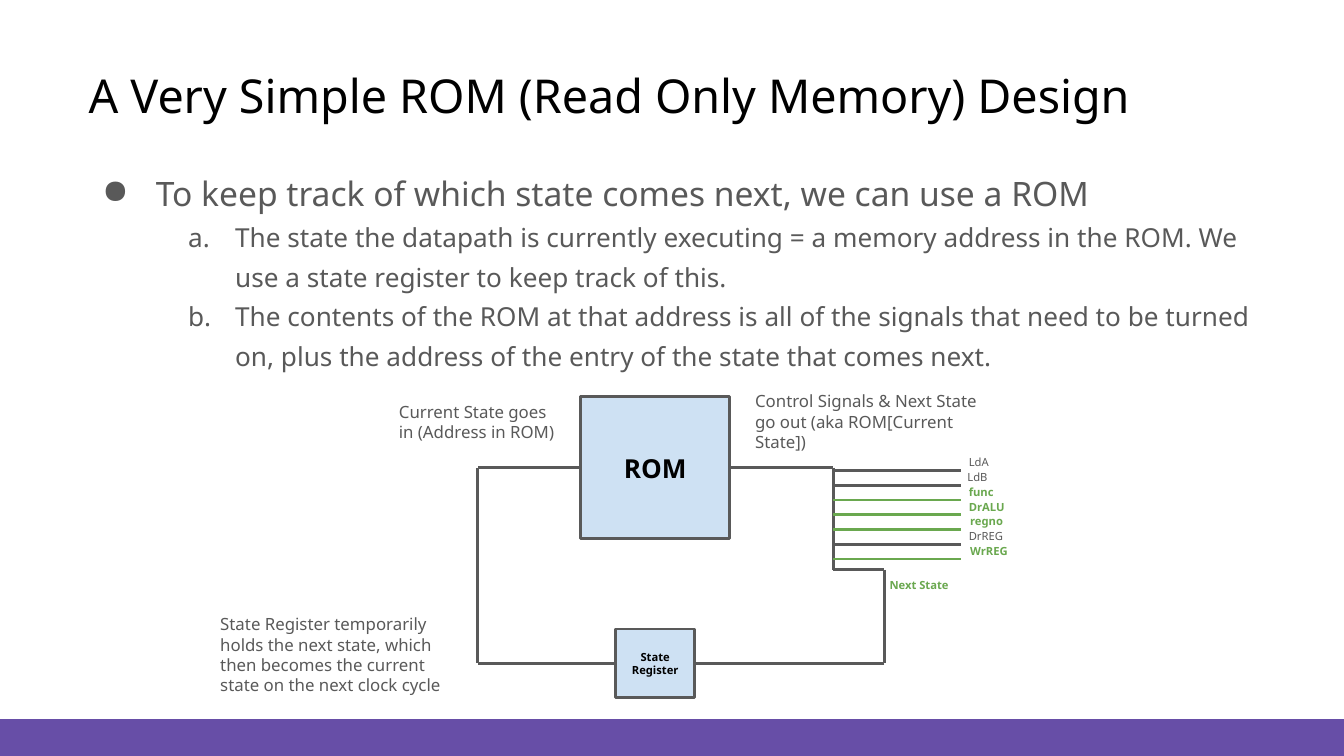
"""Build the slide on a simple ROM design with its state register loop."""
from dataclasses import dataclass

from lxml import etree
from pptx import Presentation
from pptx.dml.color import RGBColor
from pptx.enum.shapes import MSO_CONNECTOR, MSO_SHAPE
from pptx.enum.text import MSO_ANCHOR, PP_ALIGN
from pptx.oxml.ns import qn
from pptx.util import Pt

RECT = MSO_SHAPE.RECTANGLE
STRAIGHT = MSO_CONNECTOR.STRAIGHT
TOP, MIDDLE = MSO_ANCHOR.TOP, MSO_ANCHOR.MIDDLE
CENTER = PP_ALIGN.CENTER
PX = 4572
LEFT, RIGHT = 1, 3


@dataclass(frozen=True)
class Theme:
    font: str = "Noto Sans"
    black: str = "000000"
    gray: str = "595959"
    green: str = "6AA84F"
    purple: str = "674EA7"
    blue: str = "CEE1F3"
    title: int = 25
    body: int = 18
    sub: int = 14
    note: int = 9
    tiny: int = 6
    stroke: float = 1.5


T = Theme()


def add_text(sp, text, size, color, bold=False, inset=20, first=True):
    tf = sp.text_frame
    tf.word_wrap = True
    tf.margin_left = tf.margin_right = tf.margin_top = tf.margin_bottom = inset * PX
    p = tf.paragraphs[0] if first else tf.add_paragraph()
    r = p.add_run()
    r.text = text
    r.font.name = T.font
    r.font.size = Pt(size)
    r.font.bold = bold
    r.font.color.rgb = RGBColor.from_string(color)
    return p


def add_line(x1, y1, x2, y2, color=T.gray):
    c = s.shapes.add_connector(STRAIGHT, x1 * PX, y1 * PX, x2 * PX, y2 * PX)
    c.line.color.rgb = RGBColor.from_string(color)
    c.line.width = Pt(T.stroke)
    etree.SubElement(c._element.spPr, qn("a:effectLst"))
    return c


prs = Presentation()
prs.slide_width, prs.slide_height = 2000 * PX, 1125 * PX
s = prs.slides.add_slide(prs.slide_layouts[6])

bar = s.shapes.add_shape(RECT, 0, 1070 * PX, 2000 * PX, 55 * PX)
bar.shadow.inherit = False
bar.fill.solid()
bar.fill.fore_color.rgb = RGBColor.from_string(T.purple)
bar.line.fill.background()

title = s.shapes.add_textbox(130 * PX, 96 * PX, 1666 * PX, 88 * PX)
p = add_text(title, "A Very Simple ROM (Read Only Memory) Design", T.title, T.black, inset=0)
p._p.get_or_add_pPr().set("marL", str(2 * PX))
title.text_frame.margin_top = 4 * PX

bullets = [
    ("To keep track of which state comes next, we can use a ROM", 0, T.body, 82, -80),
    ("The state the datapath is currently executing = a memory address in the ROM. "
     "We use a state register to keep track of this.", 1, T.sub, 200, -70),
    ("The contents of the ROM at that address is all of the signals that need to be "
     "turned on, plus the address of the entry of the state that comes next.", 1, T.sub, 200, -70),
]
body = s.shapes.add_textbox(150 * PX, 240 * PX, 1728 * PX, 366 * PX)
for i, (text, level, size, margin, indent) in enumerate(bullets):
    p = add_text(body, text, size, T.gray, inset=0, first=i == 0)
    p.level = level
    pPr = p._p.get_or_add_pPr()
    pPr.set("marL", str(margin * PX))
    pPr.set("indent", str(indent * PX))
    color = etree.SubElement(pPr, qn("a:buClr"))
    etree.SubElement(color, qn("a:srgbClr"), val=T.gray)
    if level:
        etree.SubElement(pPr, qn("a:buAutoNum"), type="alphaLcPeriod")
    else:
        etree.SubElement(pPr, qn("a:buChar"), char="●")
    p.line_spacing = 1.26
body.text_frame.margin_top = 2 * PX

boxes = []
for text, x, y, w, h, size in [
    ("ROM", 864, 590, 222, 212, T.sub),
    ("State Register", 916, 936, 118, 102, T.tiny),
]:
    sp = s.shapes.add_shape(RECT, x * PX, y * PX, w * PX, h * PX)
    sp.shadow.inherit = False
    sp.fill.solid()
    sp.fill.fore_color.rgb = RGBColor.from_string(T.blue)
    sp.line.color.rgb = RGBColor.from_string(T.gray)
    sp.line.width = Pt(T.stroke)
    add_text(sp, text, size, T.black, True).alignment = CENTER
    sp.text_frame.vertical_anchor = MIDDLE
    boxes.append(sp)
rom, register = boxes

for side, points in [
    (RIGHT, [(1086, 696), (1240, 696), (1240, 848), (1316, 848), (1316, 987), (1034, 987)]),
    (LEFT, [(864, 696), (711, 696), (711, 987), (916, 987)]),
]:
    wires = [add_line(*a, *b) for a, b in zip(points, points[1:])]
    wires[0].begin_connect(rom, side)
    wires[-1].end_connect(register, side)

labels = [
    ("Current State goes in (Address in ROM)", 574, 578, 274, 46, T.note, T.gray, False),
    ("Control Signals & Next State go out (aka ROM[Current State])",
     1104, 562, 390, 46, T.note, T.gray, False),
    ("State Register temporarily holds the next state, which then becomes the current "
     "state on the next clock cycle", 308, 894, 404, 46, T.note, T.gray, False),
    ("Next State", 1304, 850, 162, 20, T.tiny, T.green, True),
]
signals = [
    ("LdA", 1422, False), ("LdB", 1420, False), ("func", 1422, True), ("DrALU", 1422, True),
    ("regno", 1424, True), ("DrREG", 1422, False), ("WrREG", 1424, True),
]
for i, (name, x, active) in enumerate(signals):
    color = T.green if active else T.gray
    add_line(1430, 700 + 22 * i, 1240, 700 + 22 * i, color)
    labels.append((name, x, 668 + 22 * i, 118, 20, T.tiny, color, active))

for text, x, y, w, h, size, color, bold in labels:
    sp = s.shapes.add_textbox(x * PX, y * PX, w * PX, h * PX)
    add_text(sp, text, size, color, bold)
    sp.text_frame.vertical_anchor = TOP

prs.save("out.pptx")
